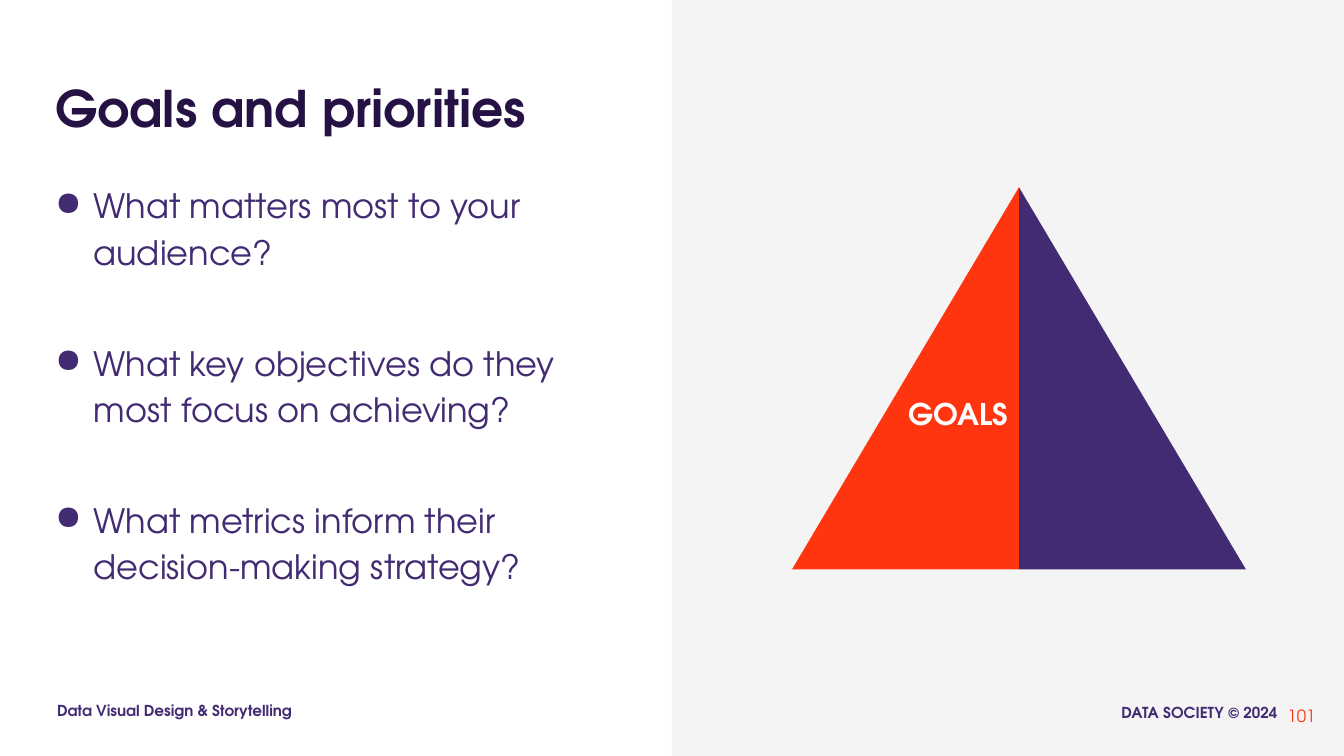
"""Build the "Goals and priorities" slide."""
import dataclasses

import lxml.etree
import pptx
import pptx.dml.color
import pptx.enum.shapes
import pptx.enum.text
import pptx.oxml.ns
import pptx.util

Cm = pptx.util.Cm
Align = pptx.enum.text.PP_ALIGN
Anchor = pptx.enum.text.MSO_ANCHOR
Preset = pptx.enum.shapes.MSO_SHAPE


@dataclasses.dataclass(frozen=True)
class Theme:
    """Hold the colours, font and type sizes."""
    font: str = "TeX Gyre Adventor"
    ink: str = "261144"
    purple: str = "422B72"
    orange: str = "FF350F"
    grey: str = "F4F4F4"
    white: str = "FFFFFF"
    title: float = 36
    body: float = 24
    label: float = 21.3
    number: float = 12
    footer: float = 10.8


def rgb(colour):
    """Turn a hex string into a colour."""
    return pptx.dml.color.RGBColor.from_string(colour)


def add_bullet(paragraph, colour, indent=0.97):
    """Give a paragraph a round bullet and a hanging indent."""
    properties = paragraph._p.get_or_add_pPr()
    properties.set("marL", str(Cm(indent)))
    properties.set("indent", str(-Cm(indent)))
    name = pptx.oxml.ns.qn
    bullet_colour = lxml.etree.SubElement(properties, name("a:buClr"))
    lxml.etree.SubElement(bullet_colour, name("a:srgbClr")).set("val", colour)
    lxml.etree.SubElement(properties, name("a:buChar")).set("char", "●")


def write(paragraph, text, *, font, size, colour, bold=False, align=Align.LEFT,
          line_spacing=1.0, space_before=0, bullet=False):
    """Write formatted text into a paragraph."""
    if bullet:
        add_bullet(paragraph, colour)
    paragraph.alignment = align
    paragraph.line_spacing = line_spacing
    paragraph.space_before = pptx.util.Pt(space_before)
    run = paragraph.add_run()
    run.text = text
    run.font.name = font
    run.font.size = pptx.util.Pt(size)
    run.font.bold = bold
    run.font.color.rgb = rgb(colour)


class SlideBuilder:
    """Draw styled elements on the current slide."""

    def __init__(self, slide, theme):
        """Keep the slide and its theme."""
        self.slide = slide
        self.theme = theme

    def shape(self, preset, box, colour, parent=None, flip=False):
        """Add a plain filled shape."""
        shapes = (parent or self.slide).shapes
        shape = shapes.add_shape(preset, *map(Cm, box))
        shape.shadow.inherit = False
        shape.fill.solid()
        shape.fill.fore_color.rgb = rgb(colour)
        shape.line.fill.background()
        if flip:
            shape._element.spPr.xfrm.set("flipH", "1")

    def text(self, box, *texts, inset=(0.25, 0.13), anchor=Anchor.TOP,
             gap=0, parent=None, **style):
        """Add a text box with one paragraph for each text."""
        shapes = (parent or self.slide).shapes
        frame = shapes.add_textbox(*map(Cm, box)).text_frame
        frame.word_wrap = True
        frame.vertical_anchor = anchor
        frame.margin_left = frame.margin_right = Cm(inset[0])
        frame.margin_top = frame.margin_bottom = Cm(inset[1])
        for index, text in enumerate(texts):
            paragraph = frame.add_paragraph() if index else frame.paragraphs[0]
            write(paragraph, text, font=self.theme.font,
                  space_before=gap if index else 0, **style)

    def pyramid(self, left, top, width, height, label):
        """Add a two-tone triangle with a label on its left half."""
        theme = self.theme
        group = self.slide.shapes.add_group_shape()
        half = width / 2
        self.shape(Preset.RIGHT_TRIANGLE, (left + half, top, half, height),
                   theme.purple, parent=group)
        self.shape(Preset.RIGHT_TRIANGLE, (left, top, half, height),
                   theme.orange, parent=group, flip=True)
        self.text((left + 2.24, top + 4.93, 3.91, 1.32), label, parent=group,
                  inset=(0.33, 0.33), size=theme.label, colour=theme.white,
                  bold=True, align=Align.CENTER)


def main():
    """Build and save the presentation."""
    presentation = pptx.Presentation()
    presentation.slide_width, presentation.slide_height = Cm(33.87), Cm(19.05)
    slide = presentation.slides.add_slide(presentation.slide_layouts[6])
    theme = Theme()
    builder = SlideBuilder(slide, theme)

    builder.shape(Preset.RECTANGLE, (16.93, 0, 16.94, 19.05), theme.grey)
    footer = dict(inset=(0.3, 0.3), size=theme.footer, colour=theme.purple, bold=True)
    builder.text((1.14, 17.45, 6.96, 1.07), "Data Visual Design & Storytelling", **footer)
    builder.text((26.85, 17.5, 5.64, 1.07), "DATA SOCIETY © 2024",
                 align=Align.RIGHT, **footer)
    builder.text((31.37, 17.5, 2.03, 1.07), "101", anchor=Anchor.MIDDLE,
                 size=theme.number, colour=theme.orange, align=Align.RIGHT)

    builder.text((1.14, 1.47, 31.55, 2.13), "Goals and priorities",
                 anchor=Anchor.BOTTOM, size=theme.title, colour=theme.ink, bold=True)
    builder.text((1.14, 4.27, 14.81, 12.65),
                 "What matters most to your audience?",
                 "What key objectives do they most focus on achieving?",
                 "What metrics inform their decision-making strategy?",
                 inset=(0.25, 0.25), gap=46, size=theme.body, colour=theme.purple,
                 line_spacing=1.15, bullet=True)
    builder.pyramid(19.96, 4.72, 11.44, 9.63, "GOALS")

    presentation.save("out.pptx")


if __name__ == "__main__":
    main()
